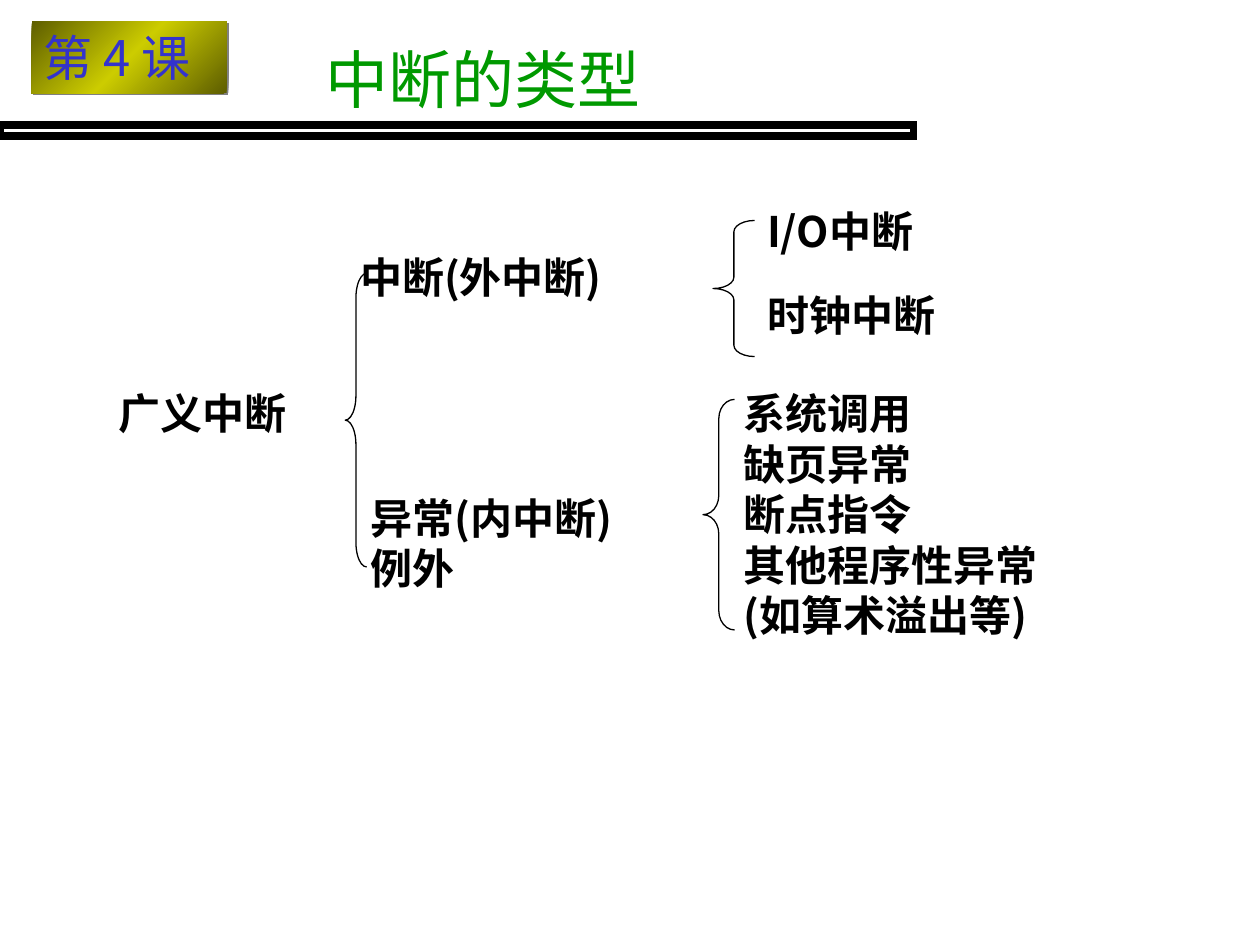
import pptx
import pptx.util
import pptx.dml.color
import pptx.enum.shapes
import pptx.enum.text
import pptx.oxml
import pptx.oxml.ns

COLORS = {"ink": "000000", "title": "009900", "badge_text": "3333CC",
          "badge_edge": "5E5E00", "badge_middle": "CCCC00", "badge_shadow": "808080"}
FONT = "Noto Sans CJK SC"
BADGE_FONT = "Noto Sans CJK JP"
WIDTH, HEIGHT = 10, 7.5

TITLE = ("中断的类型", (2.48, 0.05, 3.47, 0.92))
BADGE = ("第 4 课", (0.25, 0.17, 1.55, 0.57))
RULE = (0, 0.99, 7.25, 0.09)

LINE_HEIGHT, PADDING = 0.4, 0.1
LABELS = [
    (["广义中断"], 0.84, 3.03, 1.53, False),
    (["中断(外中断)"], 2.76, 1.95, 2.36, False),
    (["异常(内中断)", "例外"], 2.84, 3.86, 2.36, False),
    (["I/O中断"], 5.99, 1.58, 2.33, True),
    (["时钟中断"], 5.99, 2.25, 2.67, True),
    (["系统调用", "缺页异常", "断点指令", "其他程序性异常", "(如算术溢出等)"],
     5.8, 3.03, 2.61, False),
]
BRACES = [(2.74, 2.17, 0.17, 2.33), (5.66, 1.75, 0.33, 1.08), (5.58, 3.17, 0.25, 1.83)]

RECTANGLE = pptx.enum.shapes.MSO_SHAPE.RECTANGLE
LEFT = pptx.enum.text.PP_ALIGN.LEFT


def rgb(name):
    return pptx.dml.color.RGBColor.from_string(COLORS[name])


def inches(box):
    return [pptx.util.Inches(length) for length in box]


def drawing_xml(tag, body):
    return pptx.oxml.parse_xml(f"<a:{tag} {pptx.oxml.ns.nsdecls('a')}>{body}</a:{tag}>")


def write(frame, lines, size, color, font=FONT, bold=False, align=LEFT):
    for index, line in enumerate(lines):
        paragraph = frame.paragraphs[0] if index == 0 else frame.add_paragraph()
        paragraph.alignment = align
        run = paragraph.add_run()
        run.text = line
        run.font.size = pptx.util.Pt(size)
        run.font.bold = bold
        run.font.name = font
        run.font.color.rgb = rgb(color)
        east_asian = pptx.oxml.parse_xml(
            f'<a:ea {pptx.oxml.ns.nsdecls("a")} typeface="{font}"/>')
        run.font._element.find(pptx.oxml.ns.qn("a:latin")).addnext(east_asian)


def add_outline(slide, kind, box, weight):
    outline = slide.shapes.add_shape(kind, *inches(box))
    outline.shadow.inherit = False
    outline.fill.background()
    outline.line.color.rgb = rgb("ink")
    outline.line.width = pptx.util.Pt(weight)
    return outline


def add_badge(slide):
    text, box = BADGE
    badge = slide.shapes.add_shape(RECTANGLE, *inches(box))
    badge.line.fill.background()
    stops = "".join(
        f'<a:gs pos="{share * 1000}"><a:srgbClr val="{COLORS[name]}"/></a:gs>'
        for share, name in [(0, "badge_edge"), (50, "badge_middle"), (100, "badge_edge")])
    properties = badge._element.spPr
    properties.find(pptx.oxml.ns.qn("a:prstGeom")).addnext(drawing_xml(
        "gradFill", f'<a:gsLst>{stops}</a:gsLst><a:lin ang="2700000" scaled="0"/>'))
    properties.append(drawing_xml(
        "effectLst",
        f'<a:outerShdw blurRad="0" dist="{pptx.util.Pt(1.4)}" dir="2700000">'
        f'<a:srgbClr val="{COLORS["badge_shadow"]}"/></a:outerShdw>'))
    frame = badge.text_frame
    frame.word_wrap = False
    frame.vertical_anchor = pptx.enum.text.MSO_ANCHOR.TOP
    write(frame, [text], 28, "badge_text", BADGE_FONT)


def add_label(slide, lines, left, top, width, wraps):
    height = len(lines) * LINE_HEIGHT + PADDING
    frame = slide.shapes.add_textbox(*inches((left, top, width, height))).text_frame
    frame.word_wrap = wraps
    frame.auto_size = pptx.enum.text.MSO_AUTO_SIZE.SHAPE_TO_FIT_TEXT
    write(frame, lines, 24, "ink", bold=True)


def add_brace(slide, box):
    brace = add_outline(slide, pptx.enum.shapes.MSO_SHAPE.LEFT_BRACE, box, 0.75)
    brace.adjustments[0] = box[3] / 12 / box[2]


def add_title(slide):
    text, box = TITLE
    title = slide.shapes.title
    title.left, title.top, title.width, title.height = inches(box)
    frame = title.text_frame
    frame.word_wrap = True
    frame.auto_size = pptx.enum.text.MSO_AUTO_SIZE.NONE
    frame.vertical_anchor = pptx.enum.text.MSO_ANCHOR.BOTTOM
    write(frame, [text], 36, "title", align=pptx.enum.text.PP_ALIGN.JUSTIFY)


def main():
    deck = pptx.Presentation()
    deck.slide_width, deck.slide_height = inches((WIDTH, HEIGHT))
    slide = deck.slides.add_slide(deck.slide_layouts[5])
    add_title(slide)
    rule = add_outline(slide, RECTANGLE, RULE, 4.5)
    rule.line._ln.append(
        pptx.oxml.parse_xml(f'<a:miter {pptx.oxml.ns.nsdecls("a")} lim="800000"/>'))
    add_badge(slide)
    for label in LABELS:
        add_label(slide, *label)
    for box in BRACES:
        add_brace(slide, box)
    deck.save("out.pptx")


if __name__ == "__main__":
    main()
